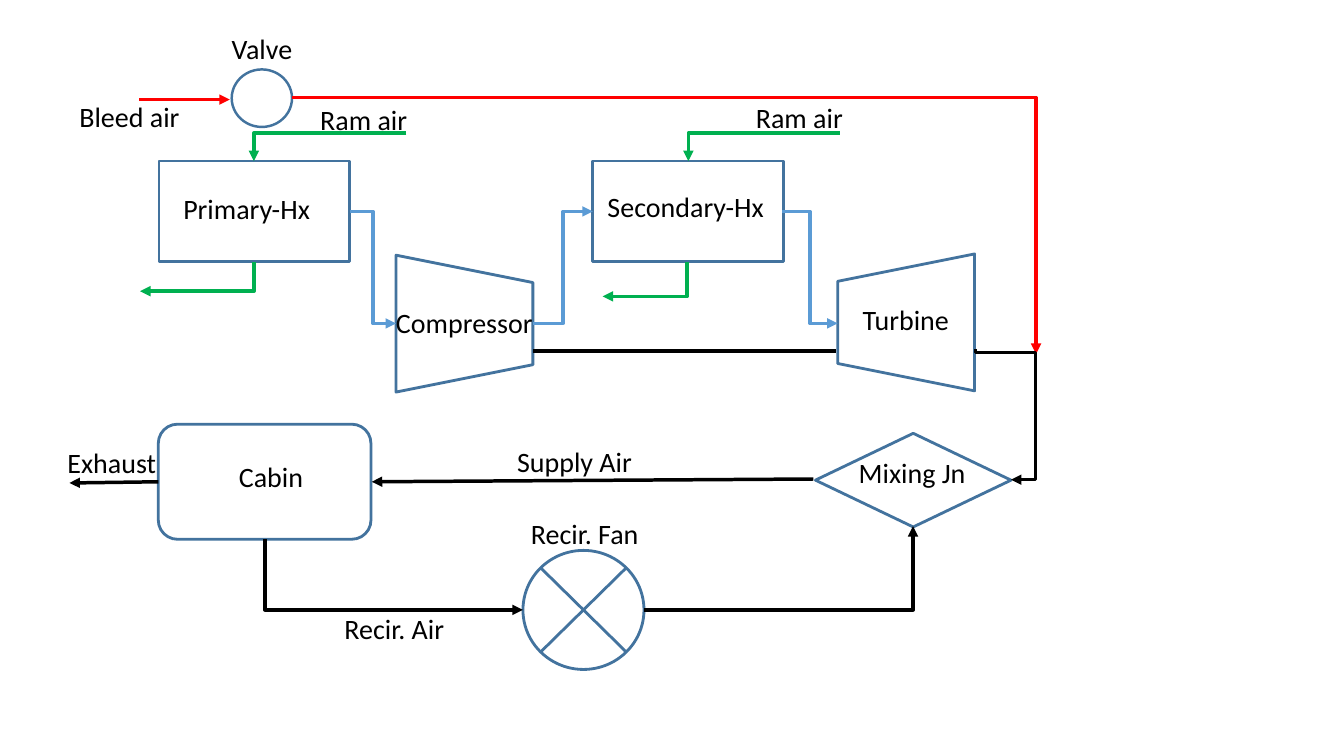
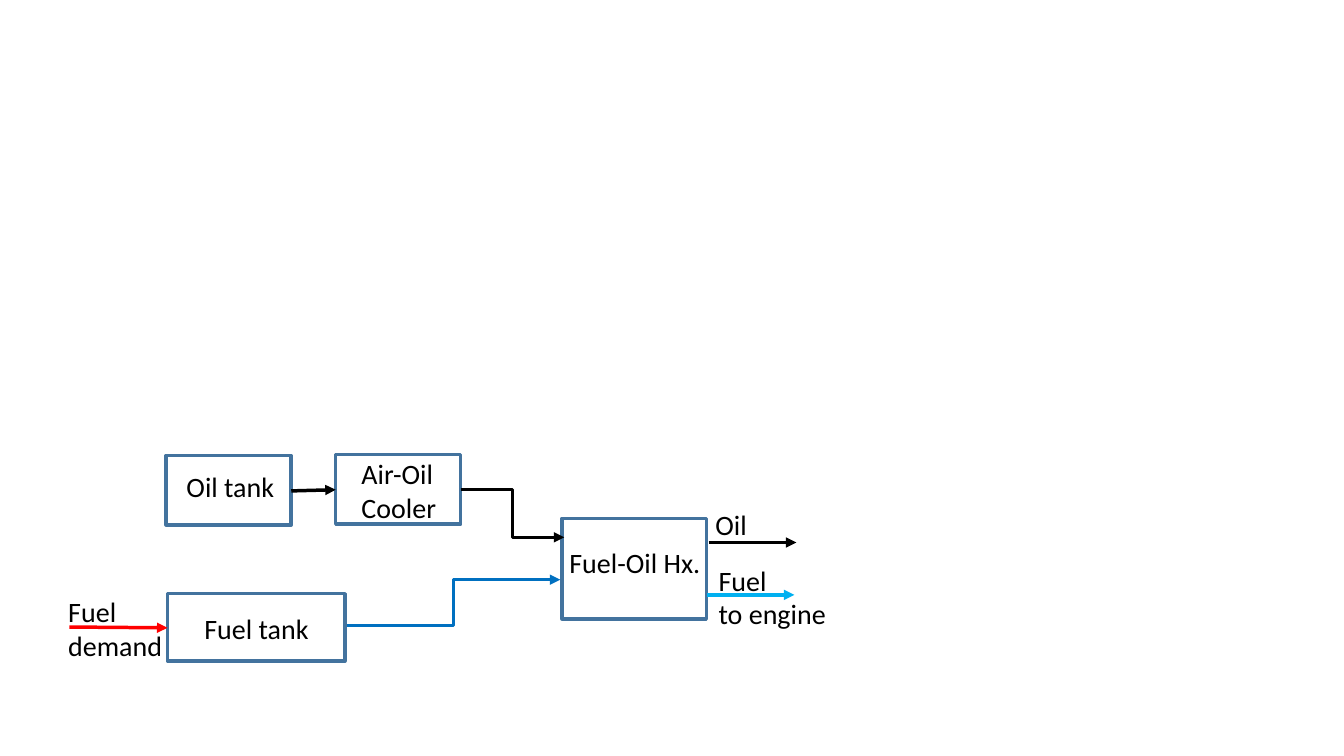
from lxml.etree import SubElement
from pptx import Presentation
from pptx.dml.color import RGBColor
from pptx.enum.shapes import MSO_CONNECTOR, MSO_SHAPE
from pptx.enum.text import MSO_AUTO_SIZE
from pptx.oxml.ns import qn
from pptx.util import Cm, Pt

# Shared style
FONT = "Calibri"
BLACK, OUTLINE = "000000", "43739E"
HOT, RAM, COOLED = "FF0000", "00B050", "5B9BD5"
FUEL, HEATED_FUEL = "0070C0", "00B0F0"
FLOW_WIDTH = 2.5


def rgb(value):
    return RGBColor.from_string(value)


def new_diagram(prs):
    """Add a blank slide and return the shapes of its diagram group."""
    slide = prs.slides.add_slide(prs.slide_layouts[6])
    return slide.shapes.add_group_shape().shapes


def component(diagram, kind, left, top, width, height, weight=2, rotation=0):
    block = diagram.add_shape(kind, Cm(left), Cm(top), Cm(width), Cm(height))
    block.rotation = rotation
    block.shadow.inherit = False
    block.fill.background()
    block.line.color.rgb = rgb(OUTLINE)
    block.line.width = Pt(weight)


def label(diagram, text, left, top, width=4.09, size=20, color=BLACK, font=FONT):
    """Write a label; each line of the text is one paragraph."""
    lines = text.count("\n") + 1
    box = diagram.add_textbox(Cm(left), Cm(top), Cm(width), Cm(0.26 + 0.86 * lines))
    frame = box.text_frame
    frame.word_wrap = True
    frame.auto_size = MSO_AUTO_SIZE.SHAPE_TO_FIT_TEXT
    frame.text = text
    for paragraph in frame.paragraphs:
        paragraph.font.name = font
        paragraph.font.size = Pt(size)
        paragraph.font.color.rgb = rgb(color)


def flow(diagram, begin, end, color=BLACK, arrow="tail", preset=None, adjust=()):
    """Draw a flow line; a preset such as bentConnector2 makes it bend."""
    kind = MSO_CONNECTOR.ELBOW if preset else MSO_CONNECTOR.STRAIGHT
    line = diagram.add_connector(kind, *(Cm(value) for value in begin + end))
    line.line.color.rgb = rgb(color)
    line.line.width = Pt(FLOW_WIDTH)
    properties = line._element.spPr
    if preset:
        geometry = properties.find(qn("a:prstGeom"))
        geometry.set("prst", preset)
        for number, share in enumerate(adjust, start=1):
            SubElement(geometry.find(qn("a:avLst")), qn("a:gd"),
                       name=f"adj{number}", fmla=f"val {round(share * 100000)}")
    if arrow:
        SubElement(properties.find(qn("a:ln")), qn(f"a:{arrow}End"), type="triangle")
    SubElement(properties, qn("a:effectLst"))


def corner(diagram, begin, end, color=BLACK, arrow="tail"):
    """Run level from begin, then upright to end."""
    flow(diagram, begin, end, color, arrow, "bentConnector2")


def step(diagram, begin, end, color=BLACK, middle=0.5):
    """Run level, upright at the middle share, then level again."""
    flow(diagram, begin, end, color, preset="bentConnector3", adjust=(middle,))


def air_cycle(prs):
    diagram = new_diagram(prs)

    # Components
    component(diagram, MSO_SHAPE.FLOWCHART_CONNECTOR, 5.84, 1.75, 1.52, 1.45, weight=1.75)
    for left, top, rotation in ((21.11, 6.4, 90), (9.98, 6.43, 270)):
        component(diagram, MSO_SHAPE.FLOWCHART_MANUAL_OPERATION,
                  left, top, 3.45, 3.45, rotation=rotation)
    for left in (4.01, 14.94):
        component(diagram, MSO_SHAPE.FLOWCHART_PROCESS, left, 4.06, 4.8, 2.54)
    component(diagram, MSO_SHAPE.FLOWCHART_DECISION, 20.55, 10.92, 4.93, 2.36)
    component(diagram, MSO_SHAPE.FLOWCHART_SUMMING_JUNCTION, 13.18, 13.87, 3.05, 3)
    component(diagram, MSO_SHAPE.FLOWCHART_ALTERNATE_PROCESS, 3.99, 10.69, 5.36, 2.9)

    # Bleed air and its bypass to the turbine outlet
    flow(diagram, (3.51, 2.51), (5.79, 2.51), HOT)
    step(diagram, (7.37, 2.46), (26.11, 8.92), HOT, middle=1)

    # Air through exchangers, compressor and turbine
    step(diagram, (8.81, 5.33), (9.98, 8.15), COOLED)
    step(diagram, (13.44, 8.15), (14.94, 5.33), COOLED)
    step(diagram, (19.71, 5.33), (21.11, 8.15), COOLED)
    flow(diagram, (13.44, 8.84), (21.06, 8.84), arrow=None)

    # Ram air in and out
    corner(diagram, (10.24, 3.35), (6.4, 4.06), RAM)
    corner(diagram, (21.16, 3.35), (17.35, 4.06), RAM)
    corner(diagram, (3.53, 7.34), (6.4, 6.6), RAM, arrow="head")
    corner(diagram, (15.19, 7.47), (17.32, 6.6), RAM, arrow="head")

    # Mixing, supply, exhaust and recirculation
    flow(diagram, (25.48, 12.09), (24.59, 8.79), arrow="head",
         preset="bentConnector4", adjust=(-0.69, 0.97))
    flow(diagram, (20.5, 12.07), (9.37, 12.14))
    flow(diagram, (3.99, 12.14), (1.75, 12.17))
    corner(diagram, (13.18, 15.37), (6.68, 13.59), arrow="head")
    corner(diagram, (16.23, 15.37), (23.01, 13.26))

    # Labels
    for text, left, top in (
        ("Valve", 5.59, 0.66), ("Bleed air", 1.75, 2.39),
        ("Ram air", 7.82, 2.46), ("Ram air", 18.8, 2.41),
        ("Primary-Hx", 4.37, 4.7), ("Compressor", 9.73, 7.57),
        ("Turbine", 21.49, 7.49), ("Cabin", 5.77, 11.46),
        ("Mixing Jn", 21.39, 11.35), ("Supply Air", 12.78, 11.07),
        ("Recir. Fan", 13.13, 12.88), ("Recir. Air", 8.43, 15.29),
        ("Exhaust", 1.45, 11.1),
    ):
        label(diagram, text, left, top)
    label(diagram, "Secondary-Hx", 15.06, 4.65, width=4.67)


def fuel_oil(prs):
    diagram = new_diagram(prs)

    # Oil tank, cooler, exchanger and fuel tank
    for place in ((4.19, 11.48, 3.15, 1.75), (8.46, 11.46, 3.15, 1.75),
                  (14.17, 13.06, 3.63, 2.54), (4.22, 14.96, 4.47, 1.7)):
        component(diagram, MSO_SHAPE.FLOWCHART_PROCESS, *place, weight=2.5)

    # Oil flows
    flow(diagram, (7.34, 12.37), (8.46, 12.34))
    step(diagram, (11.61, 12.34), (14.22, 13.54))
    flow(diagram, (17.86, 13.67), (20.07, 13.67))

    # Fuel flows
    flow(diagram, (1.75, 15.8), (4.22, 15.82), HOT)
    step(diagram, (8.74, 15.77), (14.12, 14.61), FUEL)
    flow(diagram, (17.81, 14.99), (20.02, 14.99), HEATED_FUEL)

    # Labels
    for text, left, top, width in (
        ("Oil tank", 4.45, 11.71, 2.79), ("Air-Oil Cooler", 8.86, 11.38, 2.79),
        ("Fuel-Oil Hx.", 14.1, 13.61, 4.34), ("Fuel tank", 4.9, 15.29, 3.58),
        ("Oil", 17.78, 12.67, 4.34), ("Fuel\nto engine", 17.86, 14.07, 4.34),
        ("Fuel\ndemand", 1.47, 14.86, 4.34),
    ):
        label(diagram, text, left, top, width)


def main():
    prs = Presentation()
    prs.slide_width, prs.slide_height = Cm(33.87), Cm(19.05)
    air_cycle(prs)
    fuel_oil(prs)
    prs.save("out.pptx")


main()
